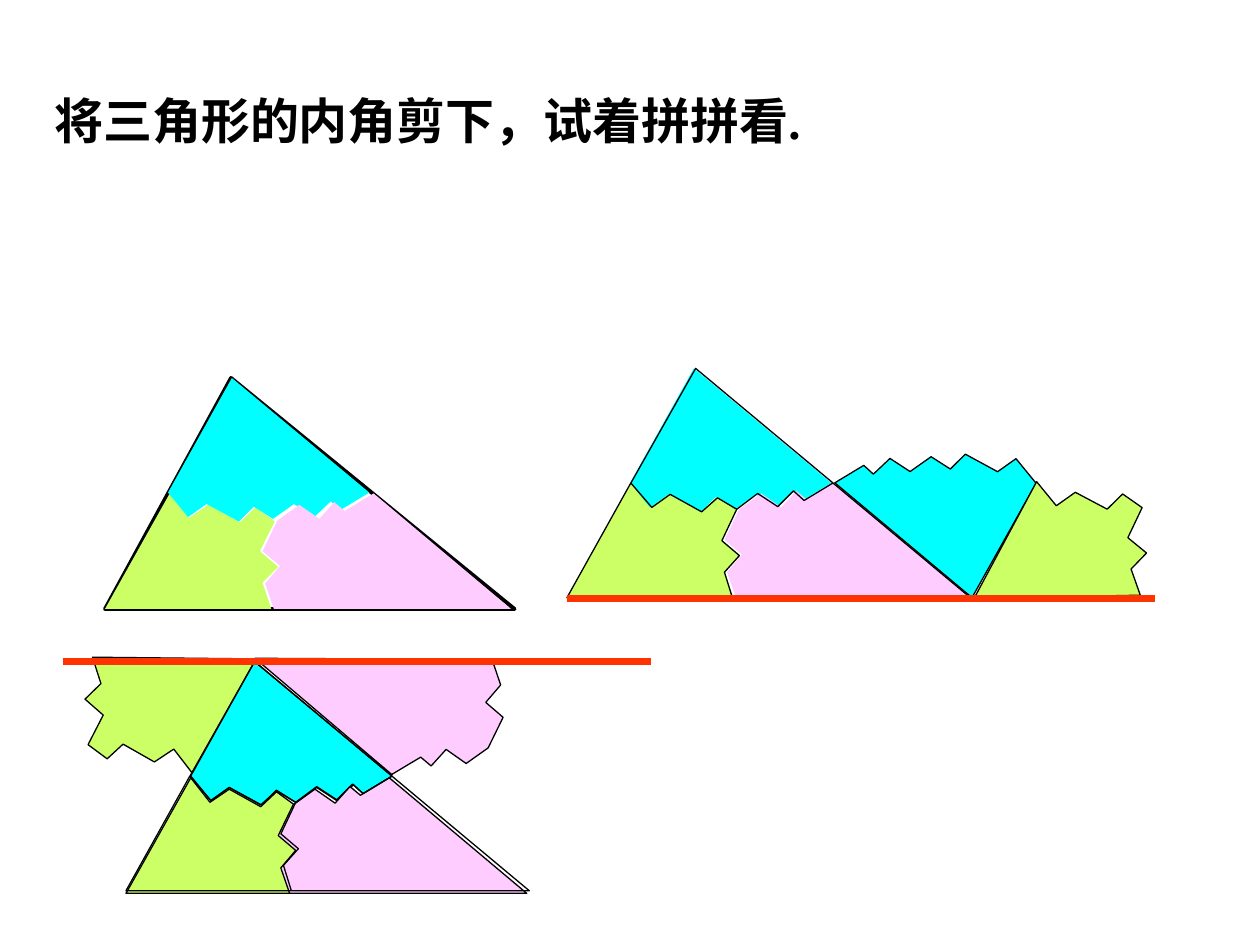
from lxml import etree
from pptx import Presentation
from pptx.dml.color import RGBColor
from pptx.enum.shapes import MSO_CONNECTOR
from pptx.oxml.ns import qn
from pptx.util import Pt

STRAIGHT = MSO_CONNECTOR.STRAIGHT
COLORS = {"black": "000000", "green": "CCFF66", "cyan": "00FFFF",
          "pink": "FFCCFF", "red": "FF3300"}

# Outlines of the three torn corners, in points from each corner's top left
CORNERS = {
    "green": [(48, 14), (37, 0), (0, 66), (95, 66), (90, 51), (99, 42),
              (88.5, 33), (97, 16), (86, 8), (77, 16.5), (59, 6.5)],
    "cyan": [(0, 65.5), (11.5, 79.5), (22, 72), (40.5, 82), (49, 73.5),
             (60, 80.5), (72, 72), (83.5, 79.5), (93, 70.5), (98.5, 75.5),
             (115, 65.5), (36.5, 0)],
    "pink": [(47, 10), (41, 5), (32.5, 14.5), (21, 6.5), (8.5, 15.5), (0, 33),
             (10, 41.5), (1.5, 51.5), (6.5, 66), (142, 66), (63.5, 0)],
}
# Edges and tear lines of the whole triangle, from its top left
CUT_LINES = [
    [(94.5, 131), (0, 131), (36.5, 65.5)],
    [(97, 80.5), (109, 71.5), (120.5, 79), (129.5, 70), (135.5, 75.5), (152, 65.5)],
    [(97, 80.5), (88.5, 98.5), (98.5, 107), (90, 116.5), (94.5, 131)],
    [(152, 65.5), (73.5, 0), (36.5, 65.5)],
    [(94.5, 131), (230.5, 131), (152, 65.5)],
    [(36.5, 65.5), (48.5, 79.5), (59, 72), (77, 82), (86, 74), (97, 80.5)],
]

presentation = Presentation()
presentation.slide_width, presentation.slide_height = Pt(720), Pt(540)
slide = presentation.slides.add_slide(presentation.slide_layouts[6])


def add_text(text, left, top, width, height, size, font, color, bold=False):
    shape = slide.shapes.add_textbox(Pt(left), Pt(top), Pt(width), Pt(height))
    shape.text_frame.word_wrap = True
    paragraph = shape.text_frame.paragraphs[0]
    paragraph.text = text
    paragraph.font.size = Pt(size)
    paragraph.font.name = font
    paragraph.font.bold = bold
    paragraph.font.color.rgb = RGBColor.from_string(COLORS[color])


def add_outline(points, left, top, fill=None, line=None, rotation=0, close=True):
    corners = [(Pt(left + x), Pt(top + y)) for x, y in points]
    builder = slide.shapes.build_freeform(*corners[0])
    builder.add_line_segments(corners[1:], close=close)
    shape = builder.convert_to_shape()
    shape.shadow.inherit = False
    shape.rotation = rotation
    if fill:
        shape.fill.solid()
        shape.fill.fore_color.rgb = RGBColor.from_string(COLORS[fill])
    else:
        shape.fill.background()
    if line:
        shape.line.color.rgb = RGBColor.from_string(COLORS["black"])
        shape.line.width = Pt(line)
    else:
        shape.line.fill.background()


# Title
add_text("将三角形的内角剪下，试着拼拼看.", 24, 48, 684, 143,
         size=28, font="Times New Roman", color="black", bold=True)

# Corners from back to front: colour, left, top, line width, rotation;
# None stands for the cut lines of a whole triangle
PLACEMENTS = [
    # Lower arrangement, two corners turned up to the line
    ("green", 48.5, 376, 0.75, 180.6),
    ("pink", 145.5, 376.5, 0.75, 180.3),
    ("cyan", 109, 378, 0.75, 0),
    ("green", 72, 444.5, 0.75, 0),
    ("pink", 159, 444.5, 0.75, 0),
    (None, 72, 378, 0.75, 0),
    # Right arrangement, two corners moved along the line
    ("green", 324, 275.5, None, 0),
    ("cyan", 360, 210.5, None, 0),
    ("pink", 414, 275.5, None, 0),
    (None, 324, 210.5, 0.75, 0),
    ("cyan", 477, 259.5, 0.75, 180.1),
    ("green", 556, 275, 0.75, 358.9),
]
for color, left, top, line, rotation in PLACEMENTS:
    if color:
        add_outline(CORNERS[color], left, top, color, line, rotation)
    else:
        for points in CUT_LINES:
            add_outline(points, left, top, line=line, close=False)

# Starting triangle with its three corners
add_outline([(0, 132), (234, 132), (72, 0)], 60, 216, line=2.25)
for color, left, top in [("green", 60, 282), ("cyan", 96, 216), ("pink", 150, 282)]:
    add_outline(CORNERS[color], left, top, color)

# Straight lines that the three angles meet on
for left, top in [(324, 342), (36, 378)]:
    connector = slide.shapes.add_connector(
        STRAIGHT, Pt(left), Pt(top), Pt(left + 336), Pt(top))
    connector.line.color.rgb = RGBColor.from_string(COLORS["red"])
    connector.line.width = Pt(4.5)
    etree.SubElement(connector._element.spPr, qn("a:effectLst"))

presentation.save("out.pptx")
